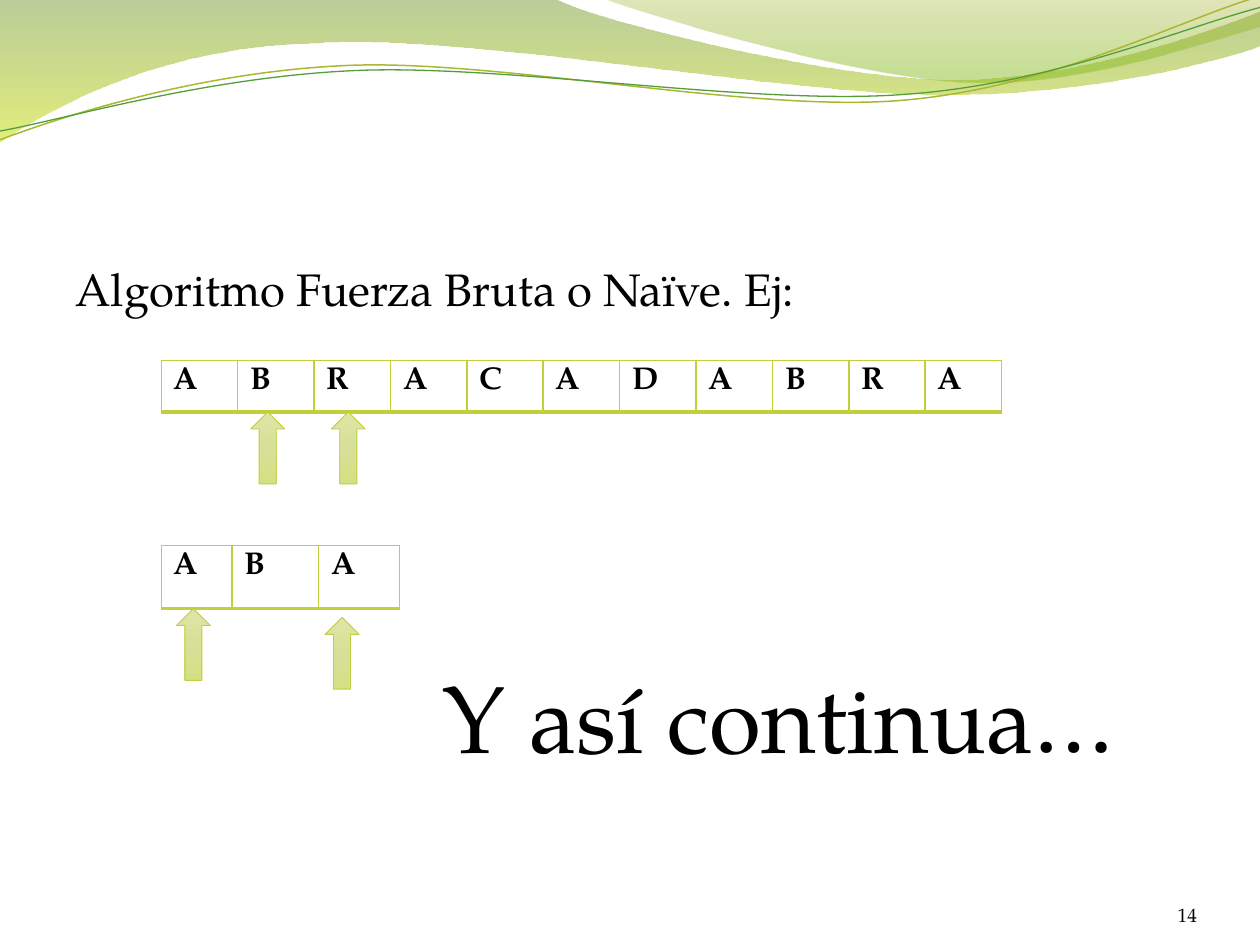
"""Builds a slide that shows a step of the brute force string search."""
import dataclasses
import math

import lxml.etree
import pptx
import pptx.dml.color
import pptx.enum.shapes
import pptx.enum.text
import pptx.oxml
import pptx.oxml.ns
import pptx.util

Inches = pptx.util.Inches
Pt = pptx.util.Pt
qn = pptx.oxml.ns.qn
ALIGN = pptx.enum.text.PP_ALIGN
COLORS = {
    "text": "000000", "border": "C0CF3A",
    "olive": "69921C", "lime": "CCE10F", "moss": "9BAA1A", "leaf": "81BA16",
    "gold_line": "A9B733", "green_line": "549E39",
    "arrow_top": "DDE6A6", "arrow_middle": "D7E098", "arrow_bottom": "D4E084",
}
WIDE_WAVE = [
    (0, 0), (4.4, -0.01), (4.75, 0.17, 6.63, 0.63, 7.58, 0.63),
    (8.53, 0.63, 9.58, 0.26, 10, 0.09), (10.01, 0.36),
    (9.83, 0.44, 8.69, 0.76, 7.46, 0.75), (6.22, 0.75, 3.81, 0.28, 2.57, 0.34),
    (1.29, 0.36, 0.46, 0.83, -0.01, 1.13), (0, 0),
]
RIGHT_WAVE = [
    (4.79, -0.01), (5.09, 0.11, 6.82, 0.62, 7.68, 0.65),
    (8.55, 0.69, 9.61, 0.32, 10, 0.21), (10, 0), (4.79, -0.01),
]
GOLD_CURVE = [
    (0, 1.11), (0.48, 0.93, 1.57, 0.57, 2.76, 0.52),
    (3.95, 0.47, 5.92, 0.89, 7.12, 0.8), (8.33, 0.71, 9.38, 0.15, 9.97, -0.02),
]
GREEN_CURVE = [
    (0, 1.04), (0.47, 0.96, 1.63, 0.61, 2.83, 0.56),
    (4.02, 0.51, 5.97, 0.84, 7.17, 0.75), (8.36, 0.67, 9.41, 0.21, 10, 0.06),
]


def rgb(color):
    return pptx.dml.color.RGBColor.from_string(COLORS[color])


def write_text(frame, text, size=18, font="TeX Gyre Pagella", color="text",
               bold=False, align=ALIGN.LEFT, space_before=0):
    paragraph = frame.paragraphs[0]
    paragraph.alignment = align
    paragraph.space_before = Pt(space_before)
    run = paragraph.add_run()
    run.text = text
    run.font.size = Pt(size)
    run.font.name = font
    run.font.bold = bold
    run.font.color.rgb = rgb(color)
    return paragraph


def turn(point, center, degrees):
    angle = math.radians(degrees)
    x, y = point[0] - center[0], point[1] - center[1]
    return (center[0] + x * math.cos(angle) - y * math.sin(angle),
            center[1] + x * math.sin(angle) + y * math.cos(angle))


def bend(shape, segments):
    outline = next(shape.element.iter(qn("a:path")))
    corners = iter(list(outline)[1:])
    for segment in segments:
        steps = [next(corners) for _ in range(len(segment) // 2)]
        if len(steps) == 3:
            curve = pptx.oxml.parse_xml(
                f'<a:cubicBezTo {pptx.oxml.ns.nsdecls("a")}/>')
            steps[0].addprevious(curve)
            for step in steps:
                curve.append(step[0])
                outline.remove(step)


def fill_gradient(shape, stops):
    shape.fill.background()
    stop_xml = "".join(
        f'<a:gs pos="{position * 1000}"><a:srgbClr val="{COLORS[color]}">'
        f'<a:alpha val="{opacity * 1000}"/></a:srgbClr></a:gs>'
        for position, color, opacity in stops)
    gradient = pptx.oxml.parse_xml(
        f'<a:gradFill {pptx.oxml.ns.nsdecls("a")} rotWithShape="1">'
        f'<a:gsLst>{stop_xml}</a:gsLst>'
        '<a:lin ang="5400000" scaled="0"/></a:gradFill>')
    properties = shape.element.spPr
    properties.replace(properties.find(qn("a:noFill")), gradient)


@dataclasses.dataclass
class SlideBuilder:
    slide: object
    border: str = "border"
    arrow_size: tuple = (0.27, 0.57)
    arrow_stops: tuple = ((0, "arrow_top", 100), (50, "arrow_middle", 100),
                          (100, "arrow_bottom", 100))

    def outline(self, segments, closed, center=(0, 0), rotation=0):
        points = [turn(segment[i:i + 2], center, -rotation)
                  for segment in segments for i in range(0, len(segment), 2)]
        points = [(Inches(x), Inches(y)) for x, y in points]
        builder = self.slide.shapes.build_freeform(*points[0], scale=1.0)
        builder.add_line_segments(points[1:], close=closed)
        shape = builder.convert_to_shape()
        bend(shape, segments[1:])
        shape.rotation = rotation
        shape.shadow.inherit = False
        return shape

    def wave(self, segments, stops):
        band = self.outline(segments, True)
        fill_gradient(band, stops)
        band.line.fill.background()

    def curve(self, segments, center, color, width):
        strand = self.outline(segments, False, center, -2.7)
        strand.fill.background()
        strand.line.color.rgb = rgb(color)
        strand.line.width = Pt(width)

    def body(self, text, left, top, width, height, **style):
        title = self.slide.shapes.title.element
        title.getparent().remove(title)
        heading = self.slide.placeholders[1]
        heading.left, heading.top = Inches(left), Inches(top)
        heading.width, heading.height = Inches(width), Inches(height)
        properties = write_text(heading.text_frame, text, **style)._p.get_or_add_pPr()
        properties.set("marL", "0")
        properties.set("indent", "0")
        lxml.etree.SubElement(properties, qn("a:buNone"))

    def label(self, text, left, top, width, height, margin=None, anchor=None,
              wrap=True, **style):
        box = self.slide.shapes.add_textbox(
            Inches(left), Inches(top), Inches(width), Inches(height))
        frame = box.text_frame
        frame.word_wrap = wrap
        if anchor is not None:
            frame.vertical_anchor = anchor
        if margin is not None:
            frame.margin_left = frame.margin_right = Inches(margin)
            frame.margin_top = frame.margin_bottom = Inches(margin)
        write_text(frame, text, **style)

    def letters(self, word, left, top, widths, height):
        grid = self.slide.shapes.add_table(
            1, len(word), Inches(left), Inches(top),
            Inches(sum(widths)), Inches(height)).table
        grid.first_row = grid.horz_banding = False
        grid.rows[0].height = Inches(height)
        for column, width, cell, letter in zip(
                grid.columns, widths, grid.rows[0].cells, word):
            column.width = Inches(width)
            write_text(cell.text_frame, letter, bold=True)
            self.cell_borders(cell)
            cell.fill.background()

    def cell_borders(self, cell):
        properties = cell._tc.get_or_add_tcPr()
        for side, width in (("L", 1), ("R", 1), ("T", 1), ("B", 2)):
            properties.append(pptx.oxml.parse_xml(
                f'<a:ln{side} {pptx.oxml.ns.nsdecls("a")} w="{Pt(width)}">'
                f'<a:solidFill><a:srgbClr val="{COLORS[self.border]}"/></a:solidFill>'
                f'</a:ln{side}>'))

    def arrow(self, left, top):
        width, height = self.arrow_size
        pointer = self.slide.shapes.add_shape(
            pptx.enum.shapes.MSO_SHAPE.UP_ARROW,
            Inches(left), Inches(top), Inches(width), Inches(height))
        pointer.shadow.inherit = False
        fill_gradient(pointer, self.arrow_stops)
        pointer.line.color.rgb = rgb(self.border)
        pointer.line.width = Pt(0.5)


def main():
    deck = pptx.Presentation()
    deck.slide_width, deck.slide_height = Inches(10), Inches(7.5)
    builder = SlideBuilder(deck.slides.add_slide(deck.slide_layouts[1]))

    builder.wave(WIDE_WAVE, [(0, "olive", 45), (100, "lime", 55)])
    builder.wave(RIGHT_WAVE, [(0, "moss", 30), (80, "leaf", 45)])
    builder.curve(GOLD_CURVE, (4.99, 0.58), "gold_line", 0.85)
    builder.curve(GREEN_CURVE, (5, 0.59), "green_line", 0.75)
    builder.body("Algoritmo Fuerza Bruta o Naïve. Ej:", 0.5, 2.02, 9, 4.8,
                 size=26, space_before=5.2)
    builder.label("14", 8.67, 6.95, 0.83, 0.4, margin=0, size=11,
                  anchor=pptx.enum.text.MSO_ANCHOR.BOTTOM, align=ALIGN.RIGHT)
    builder.letters("ABRACADABRA", 1.28, 2.86, [6.67 / 11] * 11, 0.41)
    builder.letters("ABA", 1.28, 4.33, [0.56, 0.69, 0.64], 0.5)
    for left, top in ((2.63, 3.27), (2.58, 4.9), (1.99, 3.27), (1.4, 4.83)):
        builder.arrow(left, top)
    builder.label("Y así continua…", 3.34, 5.18, 5.68, 1.01, wrap=False,
                  size=54, align=ALIGN.CENTER)
    deck.save("out.pptx")


if __name__ == "__main__":
    main()
